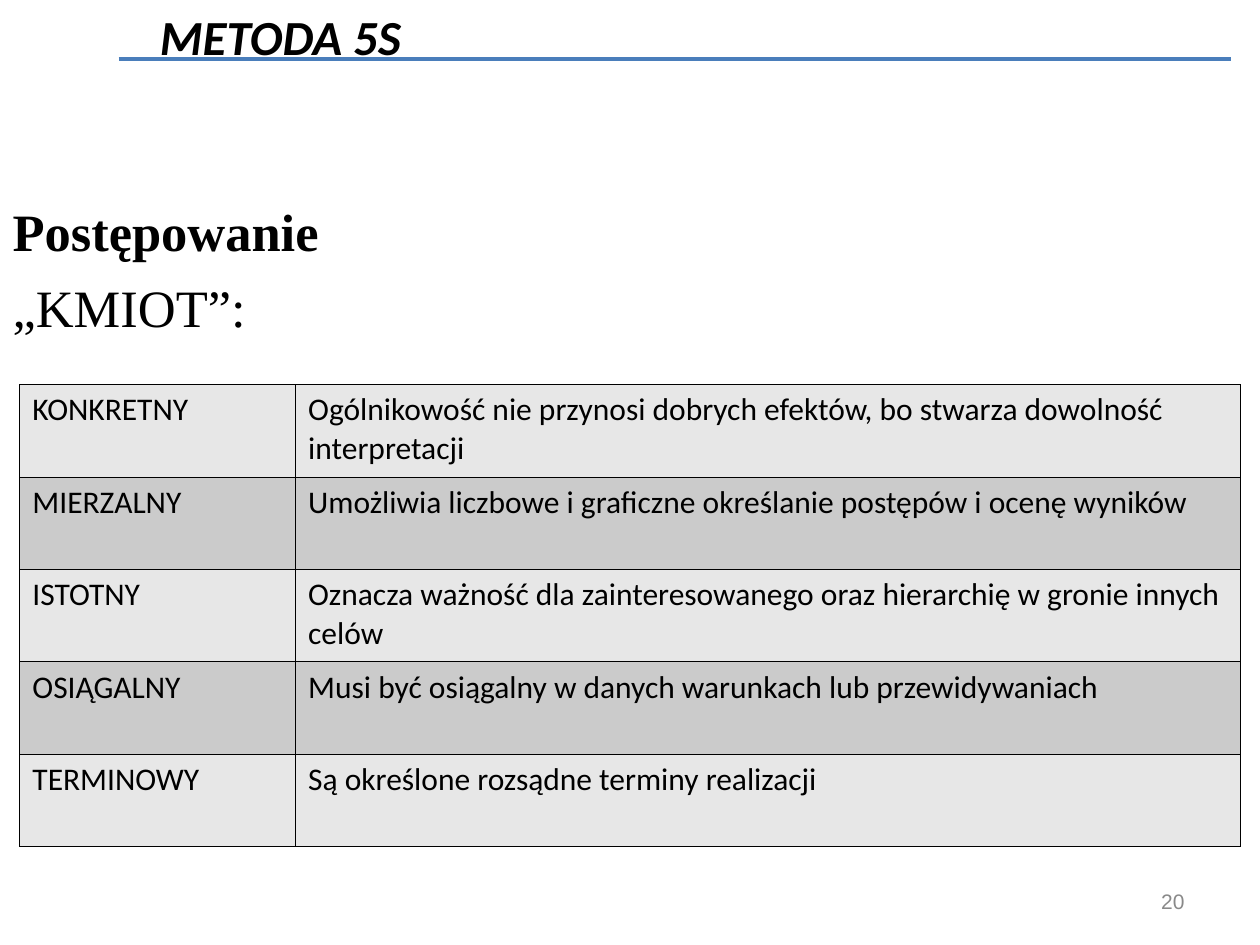
from lxml import etree
from pptx import Presentation
from pptx import util as u
from pptx.dml.color import RGBColor
from pptx.enum import shapes, text
from pptx.oxml import ns

BLACK = RGBColor(0, 0, 0)
BLUE = RGBColor(0x4A, 0x7E, 0xBB)
GREY = RGBColor(0x89, 0x89, 0x89)
LIGHT = RGBColor(0xE7, 0xE7, 0xE7)
DARK = RGBColor(0xCB, 0xCB, 0xCB)

GOALS = [
    ("KONKRETNY", "Ogólnikowość nie przynosi dobrych efektów, bo stwarza dowolność interpretacji"),
    ("MIERZALNY", "Umożliwia liczbowe i graficzne określanie postępów i ocenę wyników"),
    ("ISTOTNY", "Oznacza ważność dla zainteresowanego oraz hierarchię w gronie innych celów"),
    ("OSIĄGALNY", "Musi być osiągalny w danych warunkach lub przewidywaniach"),
    ("TERMINOWY", "Są określone rozsądne terminy realizacji"),
]


def apply(target, formats):
    for name, value in formats.items():
        setattr(target, name, value)


def place(shape, box):
    apply(shape, dict(zip(("left", "top", "width", "height"), map(u.Cm, box))))


def write(para, words, color=BLACK, **formats):
    span = para.add_run()
    span.text = words
    apply(span.font, formats)
    span.font.color.rgb = color


def add_header(page, box):
    left, top, width, height = box
    line_y = u.Cm(top + 1.19)
    rule = page.shapes.add_connector(
        shapes.MSO_CONNECTOR.STRAIGHT,
        u.Cm(left - 0.58), line_y, u.Cm(left + 21.85), line_y)
    rule.line.color.rgb = BLUE
    rule.line.width = u.Pt(2.25)
    etree.SubElement(rule._element.spPr, ns.qn("a:effectLst"))

    title = page.shapes.title
    place(title, box)
    apply(title.text_frame, {
        "vertical_anchor": text.MSO_ANCHOR.TOP,
        "auto_size": text.MSO_AUTO_SIZE.NONE,
        "word_wrap": True,
    })
    para = title.text_frame.paragraphs[0]
    para.alignment = text.PP_ALIGN.LEFT
    write(para, "METODA 5S", size=u.Pt(28), name="Calibri", bold=True, italic=True)
    page.shapes._spTree.append(title._element)


def add_body(page, box):
    body = page.placeholders[1]
    place(body, box)
    frame = body.text_frame
    apply(frame, {
        "auto_size": text.MSO_AUTO_SIZE.NONE,
        "vertical_anchor": text.MSO_ANCHOR.TOP,
        "margin_top": u.Cm(0.25),
    })
    for index, (words, bold) in enumerate([("Postępowanie", True), ("„KMIOT”:", False)]):
        para = frame.add_paragraph() if index else frame.paragraphs[0]
        properties = para._p.get_or_add_pPr()
        properties.set("marL", str(u.Cm(0.95)))
        properties.set("indent", str(u.Cm(-0.95)))
        etree.SubElement(properties, ns.qn("a:buNone"))
        para.space_before = u.Pt(7.5 if index else 0)
        write(para, words, size=u.Pt(30), name="Times New Roman", bold=bold)


def add_borders(cell):
    properties = cell._tc.get_or_add_tcPr()
    for side in ("lnL", "lnR", "lnT", "lnB"):
        border = etree.SubElement(properties, ns.qn("a:" + side), w=str(u.Pt(0.45)))
        fill = etree.SubElement(border, ns.qn("a:solidFill"))
        etree.SubElement(fill, ns.qn("a:srgbClr"), val=str(BLACK))


def add_goals(page, box):
    left, top, width, height = box
    table = page.shapes.add_table(len(GOALS), 2, *map(u.Cm, box)).table
    apply(table, {"first_row": False, "horz_banding": False})
    name_width = 5.56
    table.columns[0].width = u.Cm(name_width)
    table.columns[1].width = u.Cm(width - name_width)
    for row_index, goal in enumerate(GOALS):
        table.rows[row_index].height = u.Cm(height / len(GOALS))
        for column_index, words in enumerate(goal):
            cell = table.cell(row_index, column_index)
            add_borders(cell)
            cell.fill.solid()
            cell.fill.fore_color.rgb = DARK if row_index % 2 else LIGHT
            write(cell.text_frame.paragraphs[0], words, size=u.Pt(18), name="Calibri")


def add_page_number(page, box):
    frame = page.shapes.add_textbox(*map(u.Cm, box)).text_frame
    apply(frame, {"word_wrap": True, "vertical_anchor": text.MSO_ANCHOR.MIDDLE})
    para = frame.paragraphs[0]
    para.alignment = text.PP_ALIGN.RIGHT
    write(para, "20", GREY, size=u.Pt(12), name="Arial")


def main():
    deck = Presentation()
    apply(deck, {"slide_width": u.Cm(25.4), "slide_height": u.Cm(19.05)})
    page = deck.slides.add_slide(deck.slide_layouts[1])
    add_body(page, (0, 3.76, 25.4, 15.29))
    add_page_number(page, (18.2, 17.65, 5.93, 1.02))
    add_goals(page, (0.4, 7.75, 24.61, 9.32))
    add_header(page, (2.97, 0, 25.4, 1.45))
    deck.save("out.pptx")


if __name__ == "__main__":
    main()
